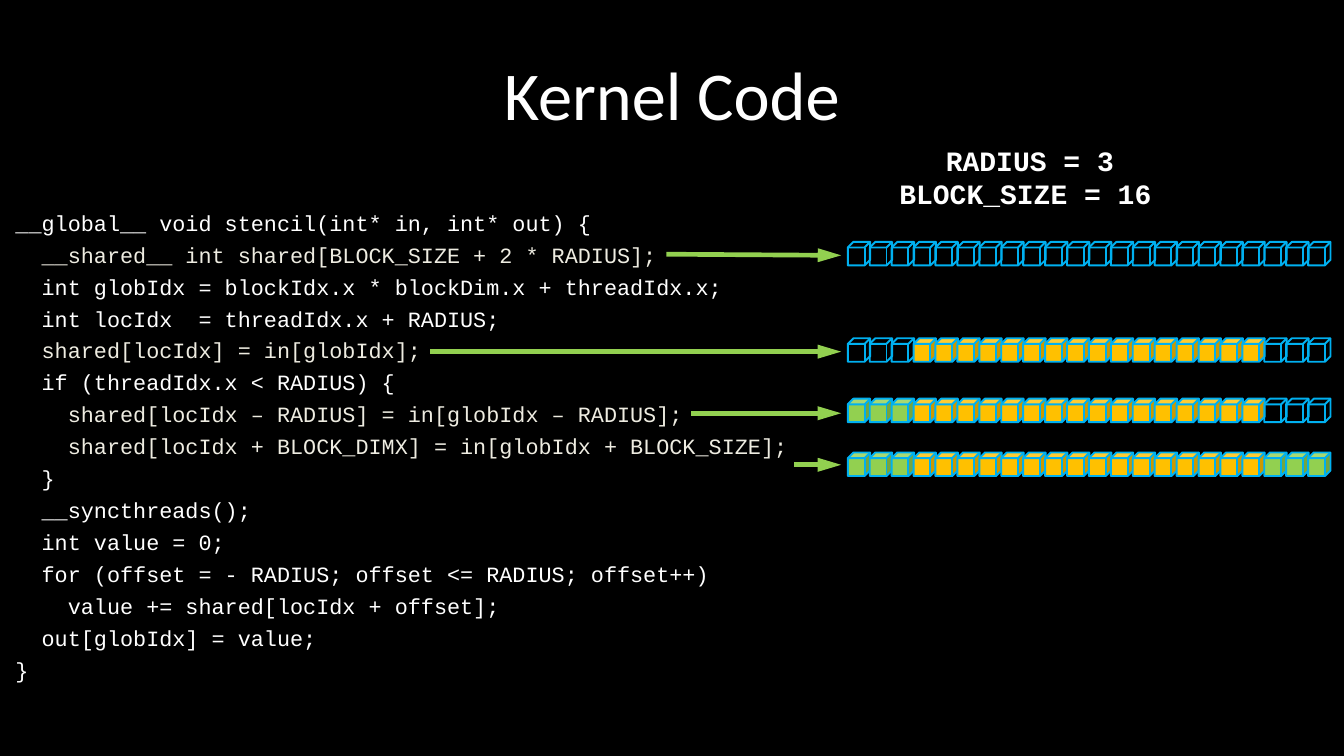
from lxml import etree
from pptx import Presentation
from pptx.dml.color import RGBColor
from pptx.enum import shapes, text
from pptx.oxml.ns import qn
from pptx.util import Inches, Pt

WHITE, CREAM, BLACK = "FFFFFF", "EEECE1", "000000"
GREEN, AMBER, BLUE = "92D050", "FFC000", "00B0F0"
MONO = "Courier New"
RADIUS, BLOCK_SIZE = 3, 16
CUBES_LEFT, CUBE_PITCH, CUBE_WIDTH, CUBE_HEIGHT = 7.57, 4.11 / 21, 0.2, 0.21
ARROW_END = 7.51

# Each line of code with its colour
CODE = [
    ("__global__ void stencil(int* in, int* out) {", WHITE),
    ("  __shared__ int shared[BLOCK_SIZE + 2 * RADIUS];", CREAM),
    ("  int globIdx = blockIdx.x * blockDim.x + threadIdx.x;", WHITE),
    ("  int locIdx  = threadIdx.x + RADIUS;", WHITE),
    ("  shared[locIdx] = in[globIdx];", CREAM),
    ("  if (threadIdx.x < RADIUS) {", WHITE),
    ("    shared[locIdx – RADIUS] = in[globIdx – RADIUS];", CREAM),
    ("    shared[locIdx + BLOCK_DIMX] = in[globIdx + BLOCK_SIZE];", CREAM),
    ("  }", WHITE),
    ("  __syncthreads();", WHITE),
    ("  int value = 0;", WHITE),
    ("  for (offset = - RADIUS; offset <= RADIUS; offset++)", WHITE),
    ("    value += shared[locIdx + offset];", WHITE),
    ("  out[globIdx] = value;", WHITE),
    ("}", WHITE),
]

# Cube top, fills of left halo, block and right halo, then arrow start x, start y, end y
ROWS = [
    (2.16, (None, None, None), (5.95, 2.27, 2.28)),
    (3.02, (None, AMBER, None), (3.84, 3.14, 3.14)),
    (3.56, (GREEN, AMBER, None), (6.17, 3.69, 3.69)),
    (4.04, (GREEN, AMBER, GREEN), (7.09, 4.15, 4.15)),
]


def rgb(color):
    return RGBColor.from_string(color)


def add_text_frame(slide, left, top, width, height):
    box = slide.shapes.add_textbox(Inches(left), Inches(top), Inches(width), Inches(height))
    tf = box.text_frame
    tf.word_wrap = True
    return tf


def add_run(p, content, size, font, color, bold=False):
    r = p.add_run()
    r.text = content
    r.font.size = Pt(size)
    r.font.name = font
    r.font.bold = bold
    r.font.color.rgb = rgb(color)


def add_heading(slide, box, content, size, font, bold=False):
    """Add one centred line of white text."""
    tf = add_text_frame(slide, *box)
    tf.vertical_anchor = text.MSO_ANCHOR.MIDDLE
    p = tf.paragraphs[0]
    p.alignment = text.PP_ALIGN.CENTER
    add_run(p, content, size, font, WHITE, bold)


def add_code(slide):
    tf = add_text_frame(slide, 0.04, 1.82, 7.24, 4.56)
    for i, (line, color) in enumerate(CODE):
        p = tf.add_paragraph() if i else tf.paragraphs[0]
        p.space_before = Pt(3.75)
        pPr = p._p.get_or_add_pPr()
        pPr.set("marL", str(Inches(0.38)))
        pPr.set("indent", str(-Inches(0.38)))
        add_run(p, line, 14, MONO, color)


def add_cube_row(slide, top, fills):
    left_halo, block, right_halo = fills
    colors = [left_halo] * RADIUS + [block] * BLOCK_SIZE + [right_halo] * RADIUS
    group = slide.shapes.add_group_shape()
    for i, color in enumerate(colors):
        cube = group.shapes.add_shape(
            shapes.MSO_SHAPE.CUBE, Inches(CUBES_LEFT + i * CUBE_PITCH), Inches(top),
            Inches(CUBE_WIDTH), Inches(CUBE_HEIGHT))
        cube.shadow.inherit = False
        if color:
            cube.fill.solid()
            cube.fill.fore_color.rgb = rgb(color)
        else:
            cube.fill.background()
        cube.line.color.rgb = rgb(BLUE)
        cube.line.width = Pt(1.25)


def add_arrow(slide, x, start_y, end_y):
    arrow = slide.shapes.add_connector(
        shapes.MSO_CONNECTOR.STRAIGHT, Inches(x), Inches(start_y),
        Inches(ARROW_END), Inches(end_y))
    arrow.line.color.rgb = rgb(GREEN)
    arrow.line.width = Pt(3)
    etree.SubElement(arrow.line._get_or_add_ln(), qn("a:tailEnd"),
                     type="triangle", w="med", len="lg")
    etree.SubElement(arrow._element.spPr, qn("a:effectLst"))


def main():
    prs = Presentation()
    prs.slide_width, prs.slide_height = Inches(12), Inches(6.75)
    slide = prs.slides.add_slide(prs.slide_layouts[6])
    slide.background.fill.solid()
    slide.background.fill.fore_color.rgb = rgb(BLACK)

    add_code(slide)
    add_heading(slide, (0.6, 0.27, 10.8, 1.12), "Kernel Code", 44, "Calibri")
    add_heading(slide, (7.77, 1.23, 2.85, 0.4), f"RADIUS = {RADIUS}", 18, MONO, True)
    add_heading(slide, (7.57, 1.53, 3.17, 0.4), f"BLOCK_SIZE = {BLOCK_SIZE}", 18, MONO, True)
    for top, fills, arrow in ROWS:
        add_cube_row(slide, top, fills)
        add_arrow(slide, *arrow)

    prs.save("out.pptx")


if __name__ == "__main__":
    main()
